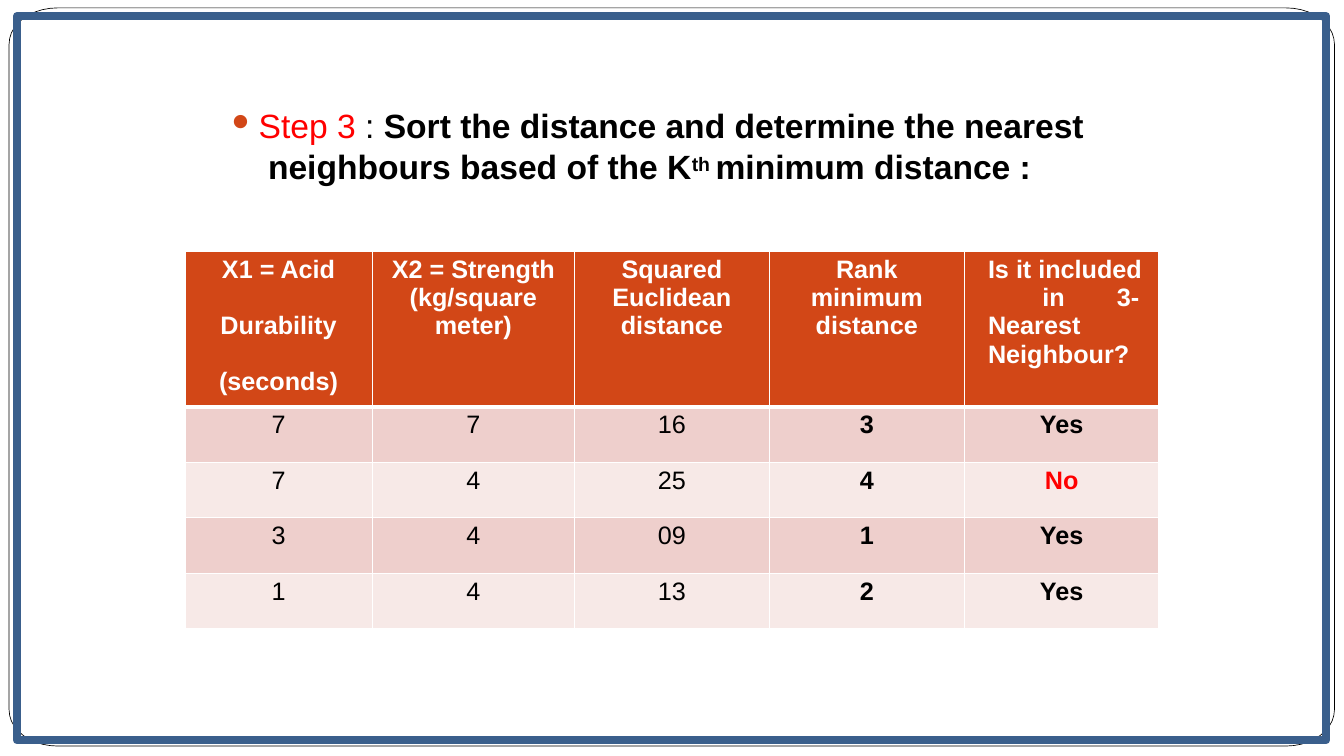
from dataclasses import dataclass
from math import cos, pi, sin

from lxml import etree
from pptx import Presentation
from pptx.dml.color import RGBColor
from pptx.enum.shapes import MSO_SHAPE
from pptx.enum.text import MSO_ANCHOR, MSO_AUTO_SIZE, PP_ALIGN
from pptx.oxml.ns import qn
from pptx.util import Cm, Pt

RECTANGLE = MSO_SHAPE.RECTANGLE
TOP = MSO_ANCHOR.TOP
NO_AUTOFIT = MSO_AUTO_SIZE.NONE
LEFT, CENTER = PP_ALIGN.LEFT, PP_ALIGN.CENTER

FONT = "Arial"
BLACK, WHITE, RED = "000000", "FFFFFF", "FF0000"
ORANGE, BLUE = "D24717", "3A5F8C"
BANDS = ("EECFCC", "F7E9E7")
COLUMN_WIDTHS = (4.72, 5.1, 4.91, 4.91, 4.91)
HEADER_HEIGHT, ROW_HEIGHT = 3.91, 1.4


@dataclass
class TextRun:
    text: str
    color: str = BLACK
    bold: bool = True
    baseline: int = 0


@dataclass
class Header:
    text: str
    align: int = CENTER
    margin_left: float = 0
    gap: float = 0
    tabs: tuple = ()


@dataclass
class Neighbour:
    durability: str
    strength: str
    distance: str
    rank: str
    included: str


TITLE = (
    TextRun("Step 3 ", RED, False),
    TextRun(": ", bold=False),
    TextRun("Sort the distance and determine the nearest\v neighbours based of the K"),
    TextRun("th ", baseline=24000),
    TextRun("minimum distance :"),
)
HEADERS = (
    Header("X1 = Acid\nDurability\n(seconds)", gap=20),
    Header("X2 = Strength\v(kg/square\vmeter)"),
    Header("Squared\vEuclidean\vdistance"),
    Header("Rank\vminimum\vdistance"),
    Header("Is it included\v\tin\t3-\vNearest\vNeighbour?", LEFT, 0.6, tabs=(1.37, 3.25)),
)
NEIGHBOURS = (
    Neighbour("7", "7", "16", "3", "Yes"),
    Neighbour("7", "4", "25", "4", "No"),
    Neighbour("3", "4", "09", "1", "Yes"),
    Neighbour("1", "4", "13", "2", "Yes"),
)


def rgb(color: str) -> RGBColor:
    return RGBColor.from_string(color)


def format_run(r, size: float, color: str, bold: bool) -> None:
    r.font.name = FONT
    r.font.size = Pt(size)
    r.font.bold = bold
    r.font.color.rgb = rgb(color)


def style_outline(sp, color: str, width: float) -> None:
    sp.shadow.inherit = False
    sp.fill.background()
    sp.line.color.rgb = rgb(color)
    sp.line.width = Pt(width)


def add_rounded_outline(slide) -> None:
    """Draw the thin page outline with elliptical corners."""
    left, top, right, bottom = 0.23, 0.2, 33.63, 18.8
    rx, ry, steps = 1.22, 0.91, 10
    centers = ((right - rx, bottom - ry), (left + rx, bottom - ry),
               (left + rx, top + ry), (right - rx, top + ry))
    points = []
    for corner, (cx, cy) in enumerate(centers):
        for step in range(steps + 1):
            angle = (corner + step / steps) * pi / 2
            points.append((Cm(cx + rx * cos(angle)), Cm(cy + ry * sin(angle))))
    builder = slide.shapes.build_freeform(*points[0])
    builder.add_line_segments(points[1:], close=True)
    style_outline(builder.convert_to_shape(), BLACK, 0.48)


def add_title(slide) -> None:
    sp = slide.shapes.title
    sp.left, sp.top, sp.width, sp.height = Cm(5.66), Cm(2.62), Cm(21.77), Cm(2.11)
    tf = sp.text_frame
    tf.word_wrap = True
    tf.auto_size = NO_AUTOFIT
    tf.vertical_anchor = TOP
    tf.margin_left = tf.margin_right = tf.margin_bottom = 0
    tf.margin_top = Cm(0.03)
    p = tf.paragraphs[0]
    p.text = TITLE[0].text
    p.alignment = LEFT
    p.space_before = Pt(1)
    for part in TITLE[1:]:
        lines = part.text.split("\v")
        for i, line in enumerate(lines):
            if i:
                p.add_line_break()
            p.add_run().text = line
            format_run(p.runs[-1], 24, part.color, part.bold)
            if part.baseline:
                p.runs[-1].font._element.set("baseline", str(part.baseline))
    format_run(p.runs[0], 24, TITLE[0].color, TITLE[0].bold)
    pPr = p._p.get_or_add_pPr()
    pPr.set("marL", str(Cm(0.86)))
    pPr.set("indent", str(-Cm(0.76)))
    bullet_color = etree.SubElement(pPr, qn("a:buClr"))
    etree.SubElement(bullet_color, qn("a:srgbClr"), val=ORANGE)
    etree.SubElement(pPr, qn("a:buSzPct"), val="85000")
    etree.SubElement(pPr, qn("a:buChar"), char="⚫")


def set_borders(cell, **widths: float) -> None:
    tcPr = cell._tc.get_or_add_tcPr()
    for side in "LRTB":
        ln = etree.SubElement(tcPr, qn(f"a:ln{side}"), w=str(Pt(widths.get(side, 1))))
        fill = etree.SubElement(ln, qn("a:solidFill"))
        etree.SubElement(fill, qn("a:srgbClr"), val=WHITE)


def fill_cell(cell, text: str, fill: str, color: str, bold: bool) -> None:
    cell.fill.solid()
    cell.fill.fore_color.rgb = rgb(fill)
    cell.margin_left = cell.margin_right = cell.margin_bottom = 0
    cell.margin_top = Cm(0.1)
    cell.vertical_anchor = TOP
    cell.text_frame.text = text
    for p in cell.text_frame.paragraphs:
        p.alignment = CENTER
        for r in p.runs:
            format_run(r, 18, color, bold)


def fill_header(cell, header: Header) -> None:
    set_borders(cell, B=3)
    fill_cell(cell, header.text, ORANGE, WHITE, True)
    cell.margin_left = Cm(header.margin_left)
    for i, p in enumerate(cell.text_frame.paragraphs):
        p.alignment = header.align
        if i:
            p.space_before = Pt(header.gap)
        if header.tabs:
            tabs = etree.SubElement(p._p.get_or_add_pPr(), qn("a:tabLst"))
            for position in header.tabs:
                etree.SubElement(tabs, qn("a:tab"), pos=str(Cm(position)), algn="l")


def add_distance_table(slide) -> None:
    height = HEADER_HEIGHT + ROW_HEIGHT * len(NEIGHBOURS)
    table = slide.shapes.add_table(len(NEIGHBOURS) + 1, len(HEADERS), Cm(4.66), Cm(6.34),
                                   Cm(sum(COLUMN_WIDTHS)), Cm(height)).table
    for column, width in zip(table.columns, COLUMN_WIDTHS):
        column.width = Cm(width)
    for i, row in enumerate(table.rows):
        row.height = Cm(ROW_HEIGHT if i else HEADER_HEIGHT)
    for i, header in enumerate(HEADERS):
        fill_header(table.cell(0, i), header)
    for i, n in enumerate(NEIGHBOURS):
        values = (n.durability, n.strength, n.distance, n.rank, n.included)
        for j, value in enumerate(values):
            cell = table.cell(i + 1, j)
            set_borders(cell, T=1 if i else 3)
            fill_cell(cell, value, BANDS[i % 2], RED if value == "No" else BLACK, j >= 3)


def add_frame(slide) -> None:
    sp = slide.shapes.add_shape(RECTANGLE, Cm(0.43), Cm(0.41), Cm(32.99), Cm(18.24))
    style_outline(sp, BLUE, 6)


def main() -> None:
    prs = Presentation()
    prs.slide_width, prs.slide_height = Cm(33.87), Cm(19.05)
    slide = prs.slides.add_slide(prs.slide_layouts[5])
    add_rounded_outline(slide)
    add_title(slide)
    add_distance_table(slide)
    add_frame(slide)
    prs.save("out.pptx")


if __name__ == "__main__":
    main()
